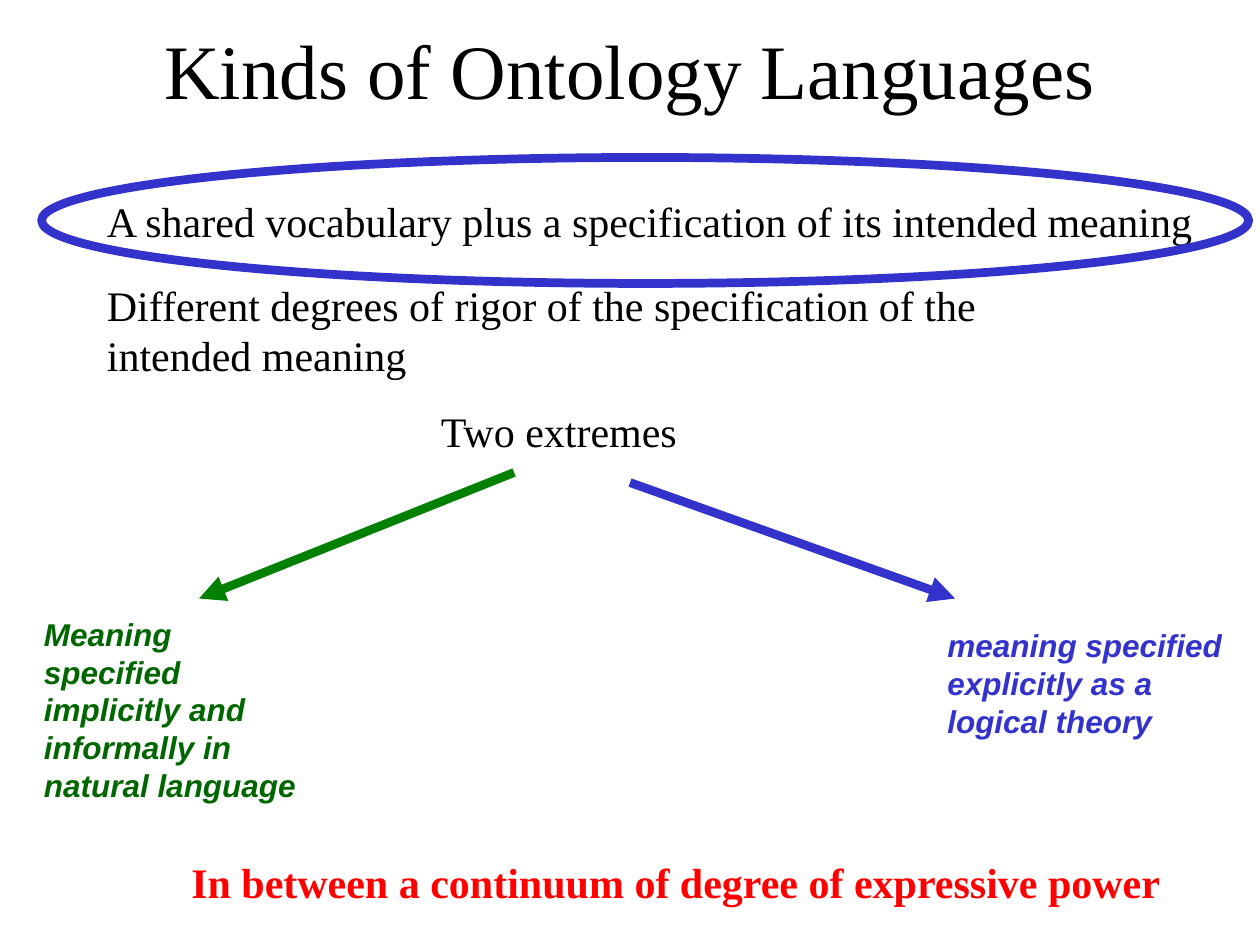
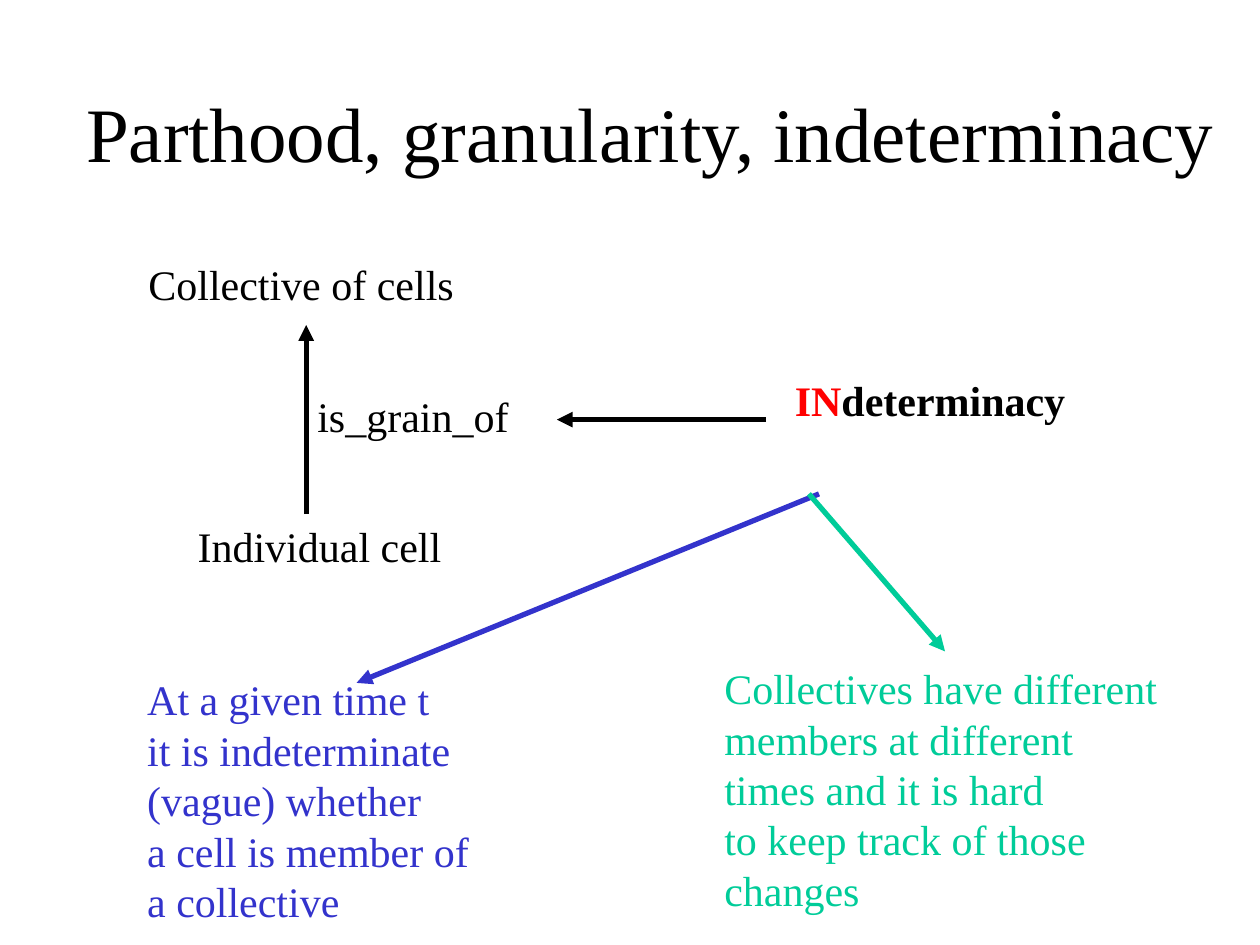
from lxml.etree import SubElement
from pptx import Presentation
from pptx.dml.color import RGBColor
from pptx.enum.shapes import MSO_CONNECTOR, MSO_SHAPE
from pptx.enum.text import MSO_ANCHOR, PP_ALIGN
from pptx.oxml.ns import qn
from pptx.util import Inches, Pt

HUES = {
    "black": "000000",
    "blue": "3333CC",
    "green": "008000",
    "dark": "006600",
    "red": "FF0000",
    "teal": "00CC99",
}
SERIF, SANS = "Times New Roman", "Arial"


def tint(hue):
    return RGBColor.from_string(HUES[hue])


def add_text(slide, box, lines, hue="black", size=24, face=SERIF,
             bold=False, slant=False, wrap=False):
    """Text box with one paragraph for each line."""
    shape = slide.shapes.add_textbox(*map(Inches, box))
    frame = shape.text_frame
    frame.text = "\n".join(lines)
    frame.word_wrap = wrap
    for para in frame.paragraphs:
        for run in para.runs:
            font = run.font
            font.name, font.size = face, Pt(size)
            font.bold, font.italic = bold, slant
            font.color.rgb = tint(hue)
    return frame


def add_title(slide, box, text):
    frame = add_text(slide, box, [text], size=44, wrap=True)
    frame.vertical_anchor = MSO_ANCHOR.MIDDLE
    frame.paragraphs[0].alignment = PP_ALIGN.CENTER


def add_arrow(slide, start, end, hue="black", width=3):
    line = slide.shapes.add_connector(
        MSO_CONNECTOR.STRAIGHT, *map(Inches, (*start, *end)))
    line.line.color.rgb = tint(hue)
    line.line.width = Pt(width)
    props = line._element.spPr
    SubElement(props.find(qn("a:ln")), qn("a:tailEnd"), type="triangle")
    SubElement(props, qn("a:effectLst"))


def add_branch(slide, box, lines, start, end, hue, ink=None, width=3, **style):
    """Note with an arrow to it; arrow ends are offsets from the box corner."""
    left, top = box[:2]
    add_text(slide, box, lines, ink or hue, **style)
    add_arrow(slide, (left + start[0], top + start[1]),
              (left + end[0], top + end[1]), hue, width)


def add_claim(slide, box):
    """Definition ringed by an ellipse that fills the box."""
    left, top, wide, high = box
    add_text(slide, (left + 0.42, top + 0.25, wide - 0.66, high / 2),
             ["A shared vocabulary plus a specification of its intended meaning"],
             wrap=True)
    ring = slide.shapes.add_shape(MSO_SHAPE.OVAL, *map(Inches, box))
    ring.shadow.inherit = False
    ring.fill.background()
    ring.line.color.rgb = tint("blue")
    ring.line.width = Pt(5)


def add_grain(slide, box):
    """Cell and collective, joined by the grain relation."""
    left, top, wide, high = box
    row = 0.5
    add_text(slide, (left, top, wide, row), ["Collective of cells"])
    add_text(slide, (left + 1.34, top + 1.05, 1.8, row), ["is_grain_of"])
    add_text(slide, (left + 0.39, top + high - row, 2.25, row),
             ["Individual cell"])
    stem = left + 1.35
    add_arrow(slide, (stem, top + high - row), (stem, top + 0.58))


def build_kinds(slide):
    # Title and definition
    add_title(slide, (0.75, -0.08, 8.5, 1.25), "Kinds of Ontology Languages")
    add_text(slide, (0.75, 2.17, 7.25, 0.9),
             ["Different degrees of rigor of the specification of the",
              "intended meaning"])
    add_claim(slide, (0.33, 1.25, 9.58, 1))

    # Two extremes
    add_text(slide, (3.4, 3.17, 2.2, 0.5), ["Two extremes"])
    note = dict(width=5, size=18, face=SANS, bold=True, slant=True, wrap=True)
    add_branch(slide, (0.25, 4.83, 2.25, 1.9),
               ["Meaning specified implicitly and",
                "informally in natural language"],
               (3.83, -1.08), (1.33, -0.08), "green", "dark", **note)
    add_branch(slide, (7.42, 4.92, 2.42, 1),
               ["meaning specified", "explicitly as a logical theory"],
               (-2.42, -1.09), (0.16, -0.17), "blue", **note)

    # Conclusion
    add_text(slide, (1.42, 6.75, 8, 0.5),
             ["In between a continuum of degree of expressive power"],
             "red", bold=True)


def build_parts(slide):
    # Title and grain relation
    add_title(slide, (0.33, 0.42, 9.67, 1.25),
              "Parthood, granularity, indeterminacy")
    add_grain(slide, (1.08, 2, 2.75, 2.58))

    # Indeterminacy, with its prefix in red
    frame = add_text(slide, (6.21, 2.92, 2.5, 0.5), ["IN"], "red", bold=True)
    run = frame.paragraphs[0].add_run()
    run.text = "determinacy"
    run.font.name, run.font.size, run.font.bold = SERIF, Pt(24), True
    run.font.color.rgb = tint("black")
    add_arrow(slide, (6.08, 3.33), (4.42, 3.33))

    # Two readings
    add_branch(slide, (1.07, 5.3, 2.9, 2.1),
               ["At a given time t", "it is indeterminate", "(vague) whether",
                "a cell is member of", "a collective"],
               (5.43, -1.38), (1.76, 0.12), "blue")
    add_branch(slide, (5.65, 5.21, 3.75, 2.1),
               ["Collectives have different", "members at different",
                "times and it is hard", "to keep track of those", "changes"],
               (0.77, -1.29), (1.85, -0.04), "teal")


def main():
    deck = Presentation()
    deck.slide_width, deck.slide_height = Inches(10), Inches(7.5)
    for build in (build_kinds, build_parts):
        build(deck.slides.add_slide(deck.slide_layouts[6]))
    deck.save("out.pptx")


if __name__ == "__main__":
    main()
